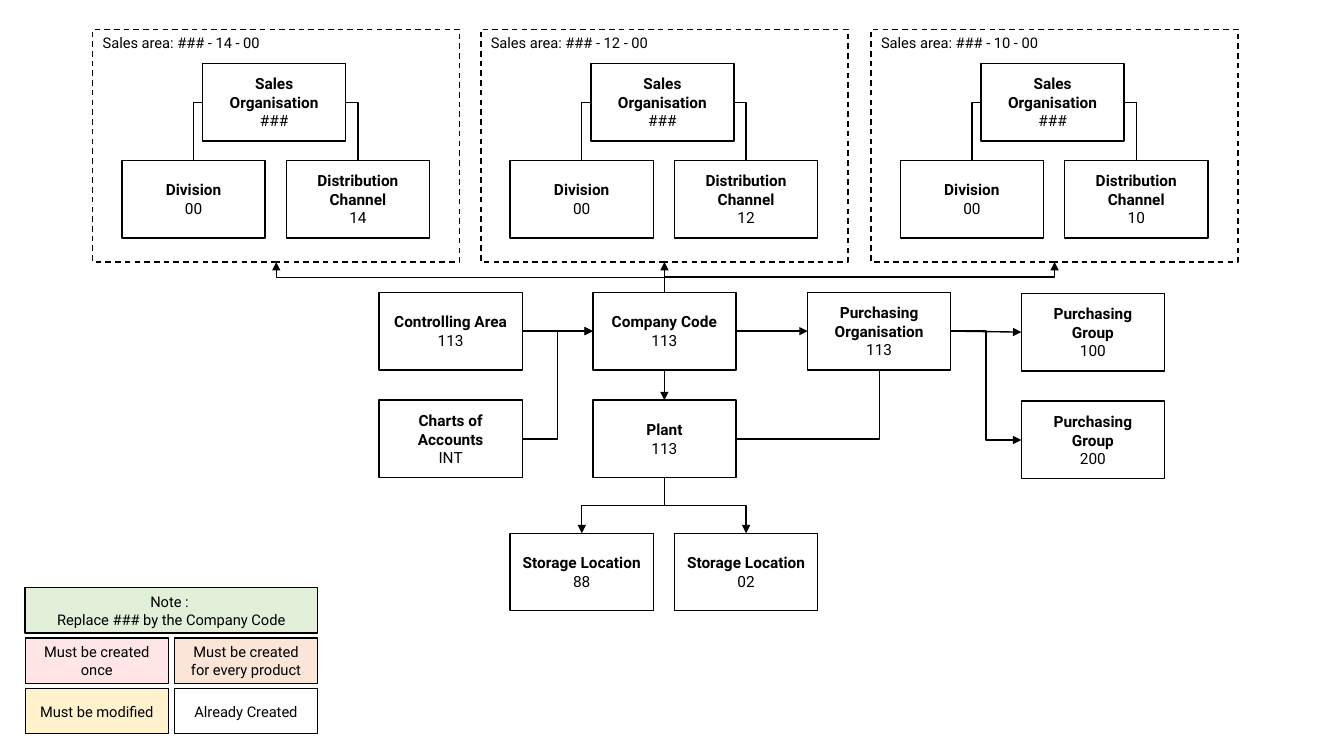
from pptx import Presentation, util as u
from pptx.dml.color import RGBColor
from pptx.enum import dml, shapes, text
from pptx.oxml.ns import qn
from pptx.oxml.xmlchemy import OxmlElement

TOP, LEFT, BOTTOM, RIGHT = range(4)


def rgb(value):
    return RGBColor.from_string(value)


class Chart:
    font = "Roboto"
    ink = "000000"
    line_width = u.Pt(1)
    unit_size = (1.42, 0.77)

    def __init__(self, s):
        self.s = s

    def box(self, x, y, w, h, lines, fill=None, alpha=None, size=10.5,
            bold_first=False, align=text.PP_ALIGN.CENTER,
            anchor=text.MSO_ANCHOR.MIDDLE, dash=None):
        """Outlined rectangle with one paragraph of broken lines."""
        sp = self.s.shapes.add_shape(shapes.MSO_SHAPE.RECTANGLE,
                                     *(u.Inches(v) for v in (x, y, w, h)))
        sp.shadow.inherit = False
        if fill:
            sp.fill.solid()
            sp.fill.fore_color.rgb = rgb(fill)
        else:
            sp.fill.background()
        if alpha:
            node = OxmlElement("a:alpha")
            node.set("val", str(alpha * 1000))
            sp.fill._xPr.find(qn("a:solidFill"))[0].append(node)
        sp.line.color.rgb = rgb(self.ink)
        sp.line.width = self.line_width
        if dash:
            sp.line.dash_style = dash

        tf = sp.text_frame
        for name, value in {"word_wrap": True, "vertical_anchor": anchor}.items():
            setattr(tf, name, value)
        p = tf.paragraphs[0]
        p.alignment = align
        for i, line in enumerate(lines):
            if i:
                p.add_line_break()
            r = p.add_run()
            r.text = line
            style = {"name": self.font, "size": u.Pt(size),
                     "bold": bold_first and i == 0}
            for name, value in style.items():
                setattr(r.font, name, value)
            r.font.color.rgb = rgb(self.ink)
        return sp

    def unit(self, x, y, name, code):
        """Organisational unit: bold name above its code."""
        return self.box(x, y, *self.unit_size, (name, code), fill="FFFFFF",
                        size=11, bold_first=True)

    def area(self, x, y, w, h, label):
        return self.box(x, y, w, h, (label,), align=text.PP_ALIGN.LEFT,
                        anchor=text.MSO_ANCHOR.TOP,
                        dash=dml.MSO_LINE.DASH)

    def join(self, a, side_a, b, side_b, arrow=True):
        """Connector between two sides, straight where they line up."""
        c = self.s.shapes.add_connector(shapes.MSO_CONNECTOR.ELBOW, 0, 0, 0, 0)
        c.begin_connect(a, side_a)
        c.end_connect(b, side_b)
        dx, dy = c.end_x - c.begin_x, c.end_y - c.begin_y
        spPr = c._element.spPr
        geometry = spPr.find(qn("a:prstGeom"))
        vertical = [side in (TOP, BOTTOM) for side in (side_a, side_b)]
        if min(abs(dx), abs(dy)) < u.Inches(0.05):
            geometry.set("prst", "line")
        elif vertical[0] != vertical[1]:
            geometry.set("prst", "bentConnector2")
        elif vertical[0]:
            # A path that leaves vertically is a horizontal one turned by 90°
            mid_x, mid_y = c.begin_x + dx // 2, c.begin_y + dy // 2
            frame = {"left": mid_x - abs(dy) // 2, "top": mid_y - abs(dx) // 2,
                     "width": abs(dy), "height": abs(dx)}
            for name, value in frame.items():
                setattr(c, name, value)
            turn = {"rot": "5400000", "flipH": str(int(dy < 0)),
                    "flipV": str(int(dx > 0))}
            for name, value in turn.items():
                spPr.find(qn("a:xfrm")).set(name, value)
        c.line.color.rgb = rgb(self.ink)
        c.line.width = self.line_width
        if arrow:
            tail = OxmlElement("a:tailEnd")
            tail.set("type", "triangle")
            c.line._get_or_add_ln().append(tail)
        spPr.append(OxmlElement("a:effectLst"))


def main():
    prs = Presentation()
    prs.slide_width, prs.slide_height = u.Inches(13.33), u.Inches(7.5)
    chart = Chart(prs.slides.add_slide(prs.slide_layouts[6]))

    # Sales areas
    areas = []
    for x, channel in ((0.92, "14"), (4.77, "12"), (8.64, "10")):
        areas.append(chart.area(x, 0.29, 3.64, 2.31,
                                f"Sales area: ### - {channel} - 00"))
        sales = chart.unit(x + 1.09, 0.63, "Sales Organisation", "###")
        division = chart.unit(x + 0.29, 1.59, "Division", "00")
        distribution = chart.unit(x + 1.92, 1.59, "Distribution Channel", channel)
        chart.join(sales, LEFT, division, TOP, arrow=False)
        chart.join(sales, RIGHT, distribution, TOP, arrow=False)

    # Company, purchasing and storage units
    controlling = chart.unit(3.76, 2.9, "Controlling Area", "113")
    accounts = chart.unit(3.76, 3.97, "Charts of Accounts", "INT")
    company = chart.unit(5.88, 2.9, "Company Code", "113")
    plant = chart.unit(5.88, 3.97, "Plant", "113")
    purchasing = chart.unit(8.01, 2.9, "Purchasing Organisation", "113")
    groups = [chart.unit(10.13, y, "Purchasing Group", code)
              for y, code in ((2.91, "100"), (3.98, "200"))]
    stores = [chart.unit(x, 5.29, "Storage Location", code)
              for x, code in ((5.06, "88"), (6.69, "02"))]

    # Links between units
    for area in areas:
        chart.join(company, TOP, area, BOTTOM)
    for source in (controlling, accounts):
        chart.join(source, RIGHT, company, LEFT)
    chart.join(company, RIGHT, purchasing, LEFT)
    chart.join(company, BOTTOM, plant, TOP)
    chart.join(plant, RIGHT, purchasing, BOTTOM, arrow=False)
    for group in groups:
        chart.join(purchasing, RIGHT, group, LEFT)
    for store in stores:
        chart.join(plant, BOTTOM, store, TOP)

    # Note and legend
    chart.box(0.25, 5.83, 2.9, 0.45,
              ("Note : ", "Replace ### by the Company Code"), fill="E2F0D9")
    legend = (("Must be created once", "FF0000", 10),
              ("Must be created for every product", "FBE5D6", None),
              ("Must be modified", "FFF2CC", None),
              ("Already Created", None, None))
    for i, (label, fill, alpha) in enumerate(legend):
        row, col = divmod(i, 2)
        chart.box(0.25 + 1.48 * col, 6.33 + 0.5 * row, 1.42, 0.45, (label,),
                  fill=fill, alpha=alpha)

    prs.save("out.pptx")


if __name__ == "__main__":
    main()
